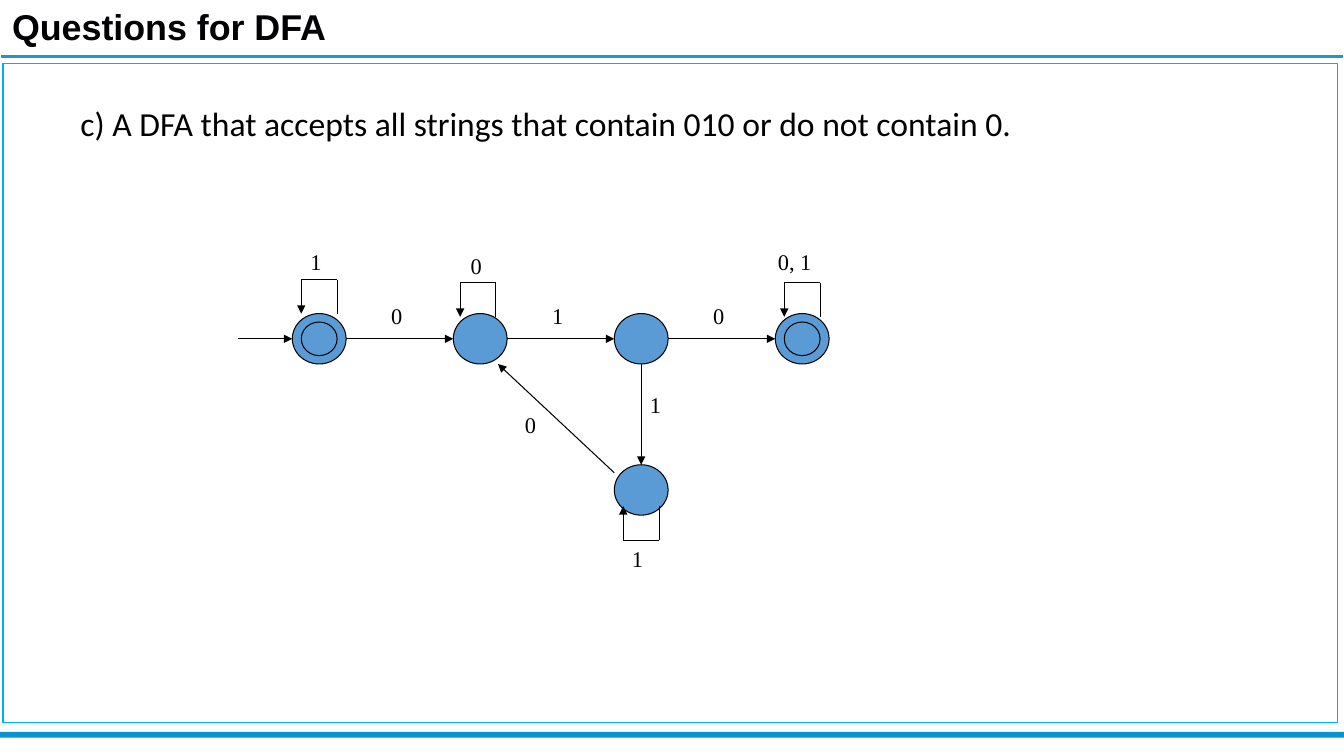
from dataclasses import dataclass

from lxml import etree
from pptx import Presentation
from pptx.dml.color import RGBColor
from pptx.enum.shapes import MSO_CONNECTOR, MSO_SHAPE
from pptx.oxml.ns import qn
from pptx.util import Pt

STRAIGHT = MSO_CONNECTOR.STRAIGHT
ELLIPSE = MSO_SHAPE.OVAL
RECTANGLE = MSO_SHAPE.RECTANGLE


@dataclass(frozen=True)
class Theme:
    """Colours, line widths and text formats of the slide."""

    ink: str = "000000"
    title_ink: str = "010103"
    rule: str = "1F97C8"
    footer: str = "0793CF"
    frame: str = "00B0F0"
    paper: str = "FFFFFF"
    state: str = "5B9BD5"
    thin: float = 0.75
    frame_width: float = 1
    rule_width: float = 2.25
    title: tuple = (("name", "Arial"), ("size", Pt(25.6)), ("bold", True))
    body: tuple = (("name", "Calibri"), ("size", Pt(24)))
    label: tuple = (("name", "Times New Roman"), ("size", Pt(16)))


THEME = Theme()
STATE_X = [228 + 115 * column for column in range(4)]
ROW_Y, LOWER_Y = 242, 350
STATE_WIDTH, STATE_HEIGHT = 38.4, 36
RADIUS_X, RADIUS_Y = STATE_WIDTH / 2, STATE_HEIGHT / 2
INNER_WIDTH, INNER_HEIGHT = 25.6, 24
LOOP_REACH, LOOP_HEIGHT = 12.8, 24.3


def add_text(slide, text, box, text_format, color=THEME.ink, margins=(7.2, 3.6), spacing=1):
    """Add one paragraph in a text box given as left, top, width, height."""
    shape = slide.shapes.add_textbox(*map(Pt, box))
    frame = shape.text_frame
    horizontal, vertical = map(Pt, margins)
    frame_format = {
        "word_wrap": True,
        "margin_left": horizontal,
        "margin_right": horizontal,
        "margin_top": vertical,
        "margin_bottom": vertical,
    }
    for name, value in frame_format.items():
        setattr(frame, name, value)
    paragraph = frame.paragraphs[0]
    paragraph.line_spacing = spacing
    run = paragraph.add_run()
    run.text = text
    for name, value in dict(text_format).items():
        setattr(run.font, name, value)
    run.font.color.rgb = RGBColor.from_string(color)


def add_filled(slide, kind, box, fill, line=None, line_width=THEME.thin):
    """Add a filled preset shape, outlined when a line colour is given."""
    shape = slide.shapes.add_shape(kind, *map(Pt, box))
    shape.shadow.inherit = False
    shape.fill.solid()
    shape.fill.fore_color.rgb = RGBColor.from_string(fill)
    if line:
        shape.line.color.rgb = RGBColor.from_string(line)
        shape.line.width = Pt(line_width)
    else:
        shape.line.fill.background()


def add_line(slide, start, end, arrow=False, color=THEME.ink, width=THEME.thin):
    """Add a straight line, with an arrowhead at its end if wanted."""
    connector = slide.shapes.add_connector(STRAIGHT, *map(Pt, (*start, *end)))
    connector.line.color.rgb = RGBColor.from_string(color)
    connector.line.width = Pt(width)
    if arrow:
        line_element = connector.line._get_or_add_ln()
        etree.SubElement(line_element, qn("a:tailEnd"), type="triangle")
    etree.SubElement(connector._element.spPr, qn("a:effectLst"))


def add_state(slide, x, y, accepting=False):
    """Add a state centred on a point, with an inner ring if accepting."""
    sizes = [(STATE_WIDTH, STATE_HEIGHT)]
    if accepting:
        sizes.append((INNER_WIDTH, INNER_HEIGHT))
    for width, height in sizes:
        box = (x - width / 2, y - height / 2, width, height)
        add_filled(slide, ELLIPSE, box, THEME.state, THEME.ink)


def add_loop(slide, x, foot_y, direction):
    """Add a square self-loop, above (-1) or below (1) its feet."""
    left, right = x - LOOP_REACH, x + LOOP_REACH
    bar_y = foot_y + direction * LOOP_HEIGHT
    add_line(slide, (right, foot_y), (right, bar_y))
    add_line(slide, (right, bar_y), (left, bar_y))
    add_line(slide, (left, bar_y), (left, foot_y), arrow=True)


def add_label(slide, text, left, top, width=24):
    """Add the input symbols of a transition."""
    add_text(slide, text, (left, top, width, 26.6), THEME.label)


def add_page(slide):
    """Add the title, the rules, the frame and the question."""
    add_line(slide, (0.7, 40.3), (959, 40.3), color=THEME.rule, width=THEME.rule_width)
    add_text(slide, "Questions for DFA", (8.6, 3.6, 567, 31), THEME.title,
             THEME.title_ink, margins=(0, 0))
    add_filled(slide, RECTANGLE, (0, 522.7, 960, 4.3), THEME.footer)
    add_filled(slide, RECTANGLE, (2.2, 45.4, 953.3, 470.9), THEME.paper,
               THEME.frame, THEME.frame_width)
    question = "c) A DFA that accepts all strings that contain 010 or do not contain 0."
    add_text(slide, question, (50.4, 73.4, 815, 356.4), THEME.body, spacing=0.9)


def add_automaton(slide):
    """Add the states, transitions and labels of the automaton."""
    first, second, third, last = STATE_X
    for x in STATE_X:
        add_state(slide, x, ROW_Y, accepting=x in (first, last))
    add_state(slide, third, LOWER_Y)

    add_line(slide, (170, ROW_Y), (first - RADIUS_X, ROW_Y), arrow=True)
    for symbol, start, end in zip("010", STATE_X, STATE_X[1:]):
        add_line(slide, (start + RADIUS_X, ROW_Y), (end - RADIUS_X, ROW_Y), arrow=True)
        add_label(slide, symbol, start + 44.3, 212.4)
    add_line(slide, (third, ROW_Y + RADIUS_Y), (third, LOWER_Y - RADIUS_Y), arrow=True)
    add_line(slide, (third - RADIUS_X, 337.7), (355.7, ROW_Y + RADIUS_Y), arrow=True)

    loops = [
        (first, 224, -1),
        (second - 1.5, 226.3, -1),
        (last, 226.3, -1),
        (third, 361.6, 1),
    ]
    for loop in loops:
        add_loop(slide, *loop)

    labels = [
        ("1", 214.6, 173.5),
        ("0", 329, 176.4),
        ("0, 1", 548.6, 173.5, 41),
        ("0", 367.9, 290.2),
        ("1", 457.2, 275.8),
        ("1", 444.2, 385.9),
    ]
    for label in labels:
        add_label(slide, *label)


def main():
    """Build the slide and save it."""
    presentation = Presentation()
    presentation.slide_width, presentation.slide_height = Pt(960), Pt(540)
    slide = presentation.slides.add_slide(presentation.slide_layouts[6])
    add_page(slide)
    add_automaton(slide)
    presentation.save("out.pptx")


if __name__ == "__main__":
    main()
